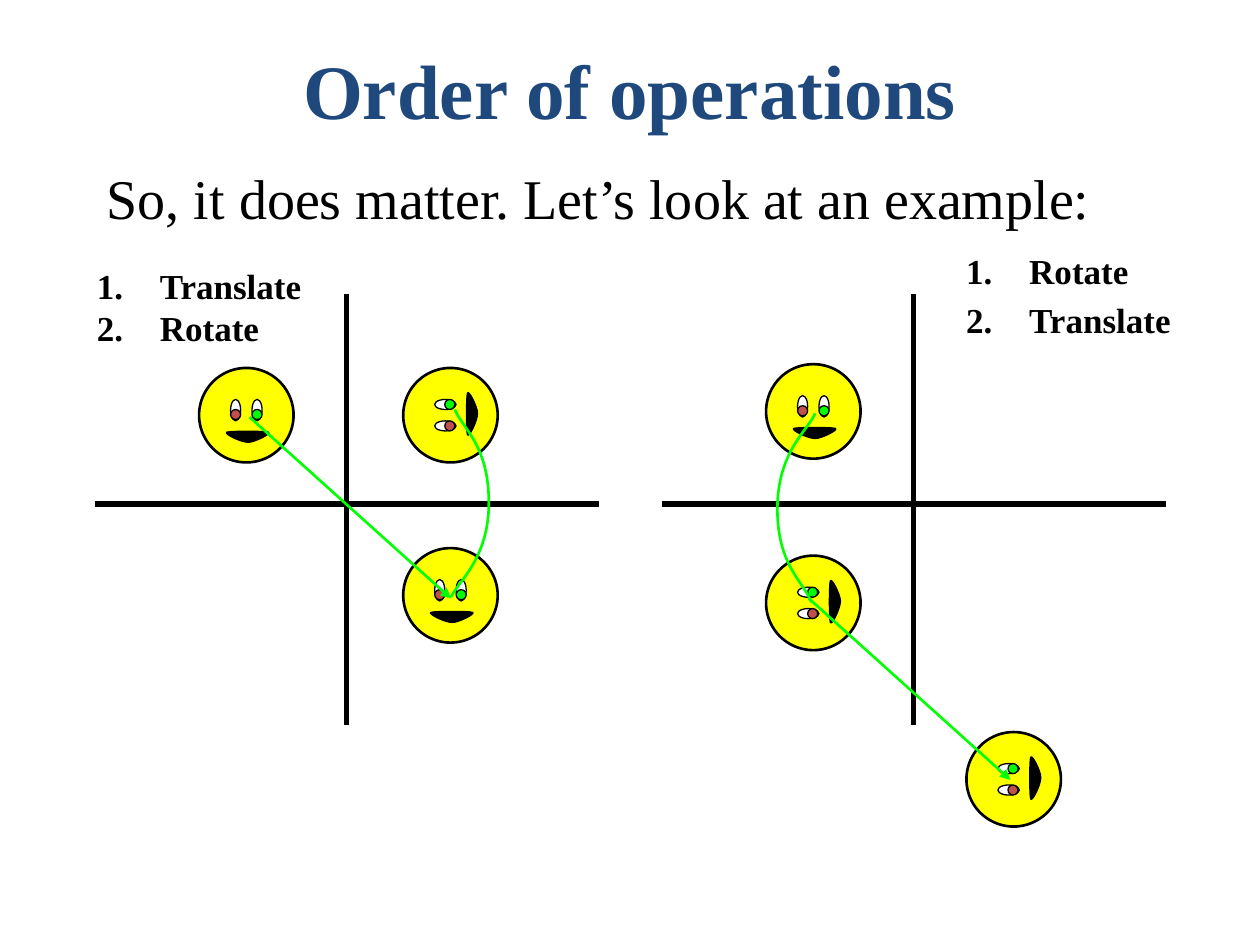
import pptx
import pptx.util
import pptx.dml.color
import pptx.enum.shapes
import pptx.enum.text
import pptx.oxml
import pptx.oxml.ns

PX = 9144
FONT = "Times New Roman"
BLACK, YELLOW, WHITE, RED, GREEN = "000000", "FFFF00", "FFFFFF", "C0504D", "00FF00"
NAVY = "1F497D"
OVAL = pptx.enum.shapes.MSO_SHAPE.OVAL
STRAIGHT = pptx.enum.shapes.MSO_CONNECTOR.STRAIGHT
ANCHOR = pptx.enum.text.MSO_ANCHOR
ALIGN = pptx.enum.text.PP_ALIGN


def px(length):
    return round(length * PX)


def color(code):
    return pptx.dml.color.RGBColor.from_string(code)


def set_all(target, values):
    for name, value in values.items():
        setattr(target, name, value)


def new_element(tag, **attributes):
    element = pptx.oxml.parse_xml(f"<a:{tag} {pptx.oxml.ns.nsdecls('a')}/>")
    for name, value in attributes.items():
        element.set(name, value)
    return element


def set_line(shape, code, points):
    shape.line.color.rgb = color(code)
    shape.line.width = pptx.util.Pt(points)


def paint(shape, fill, line, points):
    shape.shadow.inherit = False
    if fill:
        shape.fill.solid()
        shape.fill.fore_color.rgb = color(fill)
    else:
        shape.fill.background()
    set_line(shape, line, points)


def add_oval(shapes, left, top, width, height, fill, points=0.75):
    oval = shapes.add_shape(OVAL, px(left), px(top), px(width), px(height))
    paint(oval, fill, BLACK, points)


def bend(shape):
    straights = list(shape._element.iter(pptx.oxml.ns.qn("a:lnTo")))
    for index in range(0, len(straights), 3):
        curve = new_element("cubicBezTo")
        straights[index].addprevious(curve)
        for straight in straights[index:index + 3]:
            curve.append(straight[0])
            straight.getparent().remove(straight)


def add_curve(shapes, knots, line, points, fill=None):
    start, *others = [(px(x), px(y)) for x, y in knots]
    builder = shapes.build_freeform(*start)
    builder.add_line_segments(others, close=bool(fill))
    curve = builder.convert_to_shape()
    bend(curve)
    paint(curve, fill, line, points)


def add_face(page, left, top, rotation=0):
    face = page.shapes.add_group_shape()
    add_oval(face.shapes, left, top, 75, 75, YELLOW, 1.5)
    mouth = [(22, 51), (19, 52), (33, 59), (39, 59), (44, 59),
             (58, 52), (55, 51), (52, 50), (25, 50), (22, 51)]
    add_curve(face.shapes, [(left + x, top + y) for x, y in mouth], BLACK, 0.75, BLACK)
    eyes = (25, RED), (42, GREEN)
    for offset, pupil in eyes:
        add_oval(face.shapes, left + offset, top + 25, 8, 17, WHITE)
    for offset, pupil in eyes:
        add_oval(face.shapes, left + offset, top + 33, 8, 8, pupil)
    face.rotation = rotation


def add_line(shapes, start, end, code, points, arrow=False):
    line = shapes.add_connector(STRAIGHT, *map(px, start + end))
    set_line(line, code, points)
    if arrow:
        line.line._get_or_add_ln().append(new_element("tailEnd", type="triangle"))
    line._element.spPr.append(new_element("effectLst"))


def add_axes(page, center):
    axes = page.shapes.add_group_shape()
    add_line(axes.shapes, (center, 233), (center, 575), BLACK, 3)
    add_line(axes.shapes, (center - 200, 400), (center + 200, 400), BLACK, 3)


def add_span(para, text, size, code, bold):
    span = para.add_run()
    span.text = text
    set_all(span.font, {"name": FONT, "size": pptx.util.Pt(size), "bold": bold})
    span.font.color.rgb = color(code)


def add_text(page, area, lines, size, code=BLACK, bold=False, align=ALIGN.LEFT,
             anchor=ANCHOR.TOP, indent=0, numbered=False):
    box = page.shapes.add_textbox(*map(px, area))
    set_all(box.text_frame, {"word_wrap": True, "vertical_anchor": anchor})
    for index, line in enumerate(lines):
        para = box.text_frame.paragraphs[0] if index == 0 else box.text_frame.add_paragraph()
        para.alignment = align
        properties = para._p.get_or_add_pPr()
        if indent:
            properties.set("marL", str(px(indent)))
            properties.set("indent", str(-px(indent)))
        if numbered:
            properties.append(new_element("buFont", typeface=FONT))
            properties.append(new_element("buAutoNum", type="arabicPeriod"))
        add_span(para, line, size, code, bold)
    return box


def main():
    deck = pptx.Presentation()
    set_all(deck, {"slide_width": px(1000), "slide_height": px(750)})
    page = deck.slides.add_slide(deck.slide_layouts[6])

    add_text(page, (75, 33, 850, 75), ["Order of operations"], 44, NAVY, True,
             ALIGN.CENTER, ANCHOR.MIDDLE)
    add_text(page, (75, 125, 850, 50),
             ["So, it does matter. Let’s look at an example:"], 32, indent=38)

    add_face(page, 158, 292)
    add_axes(page, 275)
    add_face(page, 320, 435)
    add_line(page.shapes, (198, 331), (358, 475), GREEN, 1.5, arrow=True)
    add_face(page, 320, 292, 270)
    add_curve(page.shapes, [(358, 474), (363, 462), (388, 444), (388, 399),
                            (388, 353), (367, 340), (361, 325)], GREEN, 1.5)

    add_axes(page, 725)
    add_face(page, 608, 289)
    add_face(page, 608, 441, 270)
    add_face(page, 767, 581, 270)
    add_curve(page.shapes, [(647, 328), (642, 341), (617, 358), (617, 404),
                            (617, 449), (638, 462), (644, 478)], GREEN, 1.5)
    add_line(page.shapes, (642, 475), (802, 619), GREEN, 1.5, arrow=True)

    steps = {"size": 20, "bold": True, "indent": 50, "numbered": True}
    add_text(page, (67, 205, 184, 77), ["Translate", "Rotate"], **steps)
    rotate_first = add_text(page, (757, 193, 193, 83), ["Rotate", "Translate"], **steps)
    add_span(rotate_first.text_frame.paragraphs[-1], " ", 24, BLACK, True)
    deck.save("out.pptx")


if __name__ == "__main__":
    main()
